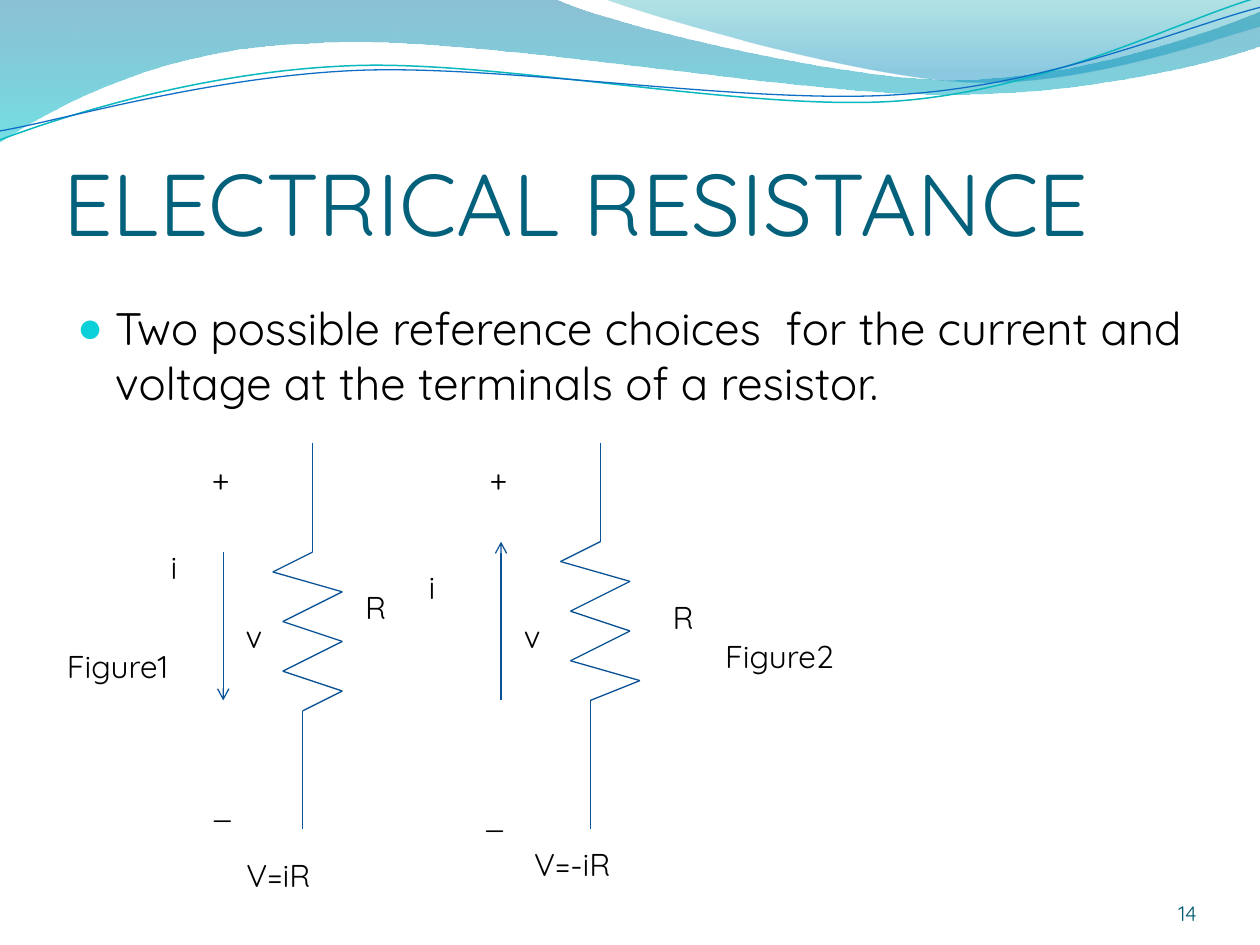
from dataclasses import dataclass
from itertools import accumulate, chain, pairwise

from lxml.etree import SubElement
from pptx import Presentation
from pptx.dml.color import RGBColor
from pptx.enum.shapes import MSO_CONNECTOR
from pptx.enum.text import MSO_ANCHOR, MSO_AUTO_SIZE, PP_ALIGN
from pptx.oxml.ns import qn
from pptx.shapes.autoshape import Shape
from pptx.slide import Slide
from pptx.text.text import TextFrame
from pptx.util import Cm, Pt

Point = tuple[float, float]


@dataclass(frozen=True)
class Theme:
    font: str = "Quicksand"
    title: str = "04617B"
    ink: str = "000000"
    bullet: str = "0BD0D9"
    number: str = "045D75"
    circuit: str = "095295"
    title_size: float = 50
    body_size: float = 26
    label_size: float = 18
    number_size: float = 12
    circuit_width: float = 0.75


@dataclass(frozen=True)
class Stop:
    position: float
    color: str
    opacity: int


@dataclass(frozen=True)
class Ribbon:
    start: Point
    pieces: list[tuple[Point, ...]]
    stops: tuple[Stop, Stop]


@dataclass(frozen=True)
class Wave:
    start: Point
    pieces: list[tuple[Point, ...]]
    color: str
    width: float


@dataclass(frozen=True)
class Label:
    text: str
    left: float
    top: float
    width: float
    indent: float = 0


@dataclass(frozen=True)
class Circuit:
    lead_top: Point
    zigzag_top: float
    swings: list[float]
    current_start: Point
    current_end: Point
    labels: list[Label]


THEME = Theme()
LEAD_BOTTOM = 16.72
ZIGZAG_DROPS = [0.4, 0.4, 0.6, 0.4, 0.6, 0.4, 0.4]
WAVE_ROTATION = 357.3

RIBBONS = [
    Ribbon(
        (0, 0),
        [
            ((11.18, -0.03),),
            ((12.09, 0.43), (16.87, 1.6), (19.25, 1.6)),
            ((21.67, 1.6), (24.33, 0.66), (25.4, 0.23)),
            ((25.43, 0.91),),
            ((24.97, 1.12), (22.1, 1.93), (18.95, 1.9)),
            ((15.8, 1.9), (9.7, 0.71), (6.53, 0.86)),
            ((3.28, 0.91), (1.17, 2.11), (-0.03, 2.87)),
        ],
        (Stop(0, "0074A1", 45), Stop(1, "00C6CF", 55)),
    ),
    Ribbon(
        (12.17, -0.03),
        [
            ((12.93, 0.28), (17.32, 1.57), (19.53, 1.65)),
            ((21.74, 1.75), (24.41, 0.81), (25.4, 0.53)),
            ((25.4, 0),),
        ],
        (Stop(0, "00A1A9", 30), Stop(0.8, "008BBF", 45)),
    ),
]

WAVES = [
    Wave(
        (-0.05, 2.22),
        [
            ((1.19, 1.82), (4.02, 1.04), (7.05, 1.06)),
            ((10.05, 1.07), (15.02, 2.37), (18.08, 2.29)),
            ((21.13, 2.2), (23.87, 0.91), (25.41, 0.55)),
        ],
        "0AB8BF",
        0.85,
    ),
    Wave(
        (-0.04, 2.04),
        [
            ((1.16, 1.9), (4.18, 1.15), (7.2, 1.16)),
            ((10.25, 1.18), (15.13, 2.25), (18.19, 2.16)),
            ((21.21, 2.1), (23.93, 1.06), (25.45, 0.75)),
        ],
        "0F6FC6",
        0.75,
    ),
]

CIRCUITS = [
    Circuit(
        (6.3, 8.93), 11.13, [-0.8, 1.4, -1.2, 1.2, -1.2, 1.2, -0.8], (4.5, 11.13), (4.5, 14.12),
        [
            Label("+", 3.51, 9.12, 1.6, 0.51), Label("_", 3.51, 15.72, 2, 0.51),
            Label("i", 2.49, 10.92, 1.6, 0.7), Label("v", 4.7, 12.32, 1),
            Label("R", 7.11, 11.73, 1.4), Label("V=iR", 3.51, 17.13, 5, 1.21),
            Label("Figure1", 1.1, 12.92, 3),
        ],
    ),
    Circuit(
        (12.1, 8.93), 10.92, [-0.8, 1.4, -1.2, 1.2, -1.2, 1.4, -1], (10.1, 14.12), (10.1, 10.92),
        [
            Label("+", 9.1, 9.12, 2, 0.52), Label("_", 8.31, 15.92, 2.8, 1.2),
            Label("i", 7.7, 11.33, 2.2, 0.69), Label("v", 10.31, 12.32, 1.2),
            Label("R", 13.31, 11.93, 1), Label("V=-iR", 9.3, 16.92, 5.2, 1.22),
            Label("Figure2", 13.49, 12.72, 5.8, 0.88),
        ],
    ),
]


def write_text(frame: TextFrame, text: str, *, size: float, color: str,
               align: PP_ALIGN = PP_ALIGN.LEFT, anchor: MSO_ANCHOR = MSO_ANCHOR.TOP,
               padded: bool = True, indent: float = 0, hanging: float = 0) -> None:
    frame.word_wrap = True
    frame.auto_size = MSO_AUTO_SIZE.NONE
    frame.vertical_anchor = anchor
    if not padded:
        frame.margin_left = frame.margin_right = frame.margin_bottom = 0
    paragraph = frame.paragraphs[0]
    paragraph.alignment = align
    properties = paragraph._p.get_or_add_pPr()
    properties.set("marL", str(Cm(indent)))
    properties.set("indent", str(Cm(-hanging)))
    run = paragraph.add_run()
    run.text = text
    run.font.name = THEME.font
    run.font.size = Pt(size)
    run.font.color.rgb = RGBColor.from_string(color)


def place(shape: Shape, left: float, top: float, width: float, height: float) -> None:
    shape.left, shape.top, shape.width, shape.height = map(Cm, (left, top, width, height))


def add_bullet(frame: TextFrame) -> None:
    properties = frame.paragraphs[0]._p.get_or_add_pPr()
    color = SubElement(properties, qn("a:buClr"))
    SubElement(color, qn("a:srgbClr"), val=THEME.bullet)
    SubElement(properties, qn("a:buSzPct"), val="95000")
    SubElement(properties, qn("a:buChar"), char="●")


def draw_outline(slide: Slide, start: Point, pieces: list[tuple[Point, ...]], close: bool) -> Shape:
    builder = slide.shapes.build_freeform(*map(Cm, start))
    builder.add_line_segments([(Cm(x), Cm(y)) for x, y in chain(*pieces)], close=close)
    outline = builder.convert_to_shape()
    outline.shadow.inherit = False
    segments = iter(list(outline._element.iter(qn("a:lnTo"))))
    for piece in pieces:
        first, *others = [next(segments) for _ in piece]
        if others:
            first.tag = qn("a:cubicBezTo")
        for other in others:
            first.append(other[0])
            other.getparent().remove(other)
    return outline


def draw_ribbon(slide: Slide, ribbon: Ribbon) -> None:
    band = draw_outline(slide, ribbon.start, ribbon.pieces, True)
    band.line.fill.background()
    band.fill.gradient()
    band.fill.gradient_angle = 270
    for target, stop in zip(band.fill.gradient_stops, ribbon.stops):
        target.position = stop.position
        target.color.rgb = RGBColor.from_string(stop.color)
    for color, stop in zip(band._element.spPr.iter(qn("a:srgbClr")), ribbon.stops):
        SubElement(color, qn("a:alpha"), val=str(stop.opacity * 1000))


def draw_wave(slide: Slide, wave: Wave) -> None:
    curve = draw_outline(slide, wave.start, wave.pieces, False)
    curve.rotation = WAVE_ROTATION
    curve.fill.background()
    curve.line.color.rgb = RGBColor.from_string(wave.color)
    curve.line.width = Pt(wave.width)


def draw_wire(slide: Slide, start: Point, end: Point, arrow: bool = False) -> None:
    wire = slide.shapes.add_connector(MSO_CONNECTOR.STRAIGHT, *map(Cm, (*start, *end)))
    wire.line.color.rgb = RGBColor.from_string(THEME.circuit)
    wire.line.width = Pt(THEME.circuit_width)
    if arrow:
        SubElement(wire.line._get_or_add_ln(), qn("a:tailEnd"), type="arrow")
    SubElement(wire._element.spPr, qn("a:effectLst"))


def draw_circuit(slide: Slide, circuit: Circuit) -> None:
    xs = list(accumulate(circuit.swings, initial=circuit.lead_top[0]))
    ys = accumulate(ZIGZAG_DROPS, initial=circuit.zigzag_top)
    for start, end in pairwise([circuit.lead_top, *zip(xs, ys), (xs[-1], LEAD_BOTTOM)]):
        draw_wire(slide, start, end)
    draw_wire(slide, circuit.current_start, circuit.current_end, arrow=True)
    for label in circuit.labels:
        box = slide.shapes.add_textbox(*map(Cm, (label.left, label.top, label.width, 1.02)))
        write_text(box.text_frame, label.text, size=THEME.label_size, color=THEME.ink, indent=label.indent)


def main() -> None:
    deck = Presentation()
    deck.slide_width, deck.slide_height = Cm(25.4), Cm(19.05)
    slide = deck.slides.add_slide(deck.slide_layouts[1])
    title, body = slide.shapes.title, slide.placeholders[1]
    for ribbon in RIBBONS:
        draw_ribbon(slide, ribbon)
    for wave in WAVES:
        draw_wave(slide, wave)
    for placeholder in (title, body):
        slide.shapes._spTree.append(placeholder._element)
    place(title, 1.27, 1.95, 22.86, 3.17)
    write_text(title.text_frame, "ELECTRICAL RESISTANCE", size=THEME.title_size,
               color=THEME.title, anchor=MSO_ANCHOR.BOTTOM, padded=False)
    place(body, 1.3, 5.92, 22.86, 12.19)
    write_text(body.text_frame,
               "Two possible reference choices  for the current and voltage at the terminals of a resistor.",
               size=THEME.body_size, color=THEME.ink, indent=0.76, hanging=0.76)
    add_bullet(body.text_frame)
    number = slide.shapes.add_textbox(*map(Cm, (22.02, 17.65, 2.11, 1.02)))
    write_text(number.text_frame, "14", size=THEME.number_size, color=THEME.number,
               align=PP_ALIGN.RIGHT, anchor=MSO_ANCHOR.BOTTOM, padded=False)
    for circuit in CIRCUITS:
        draw_circuit(slide, circuit)
    deck.save("out.pptx")


if __name__ == "__main__":
    main()
